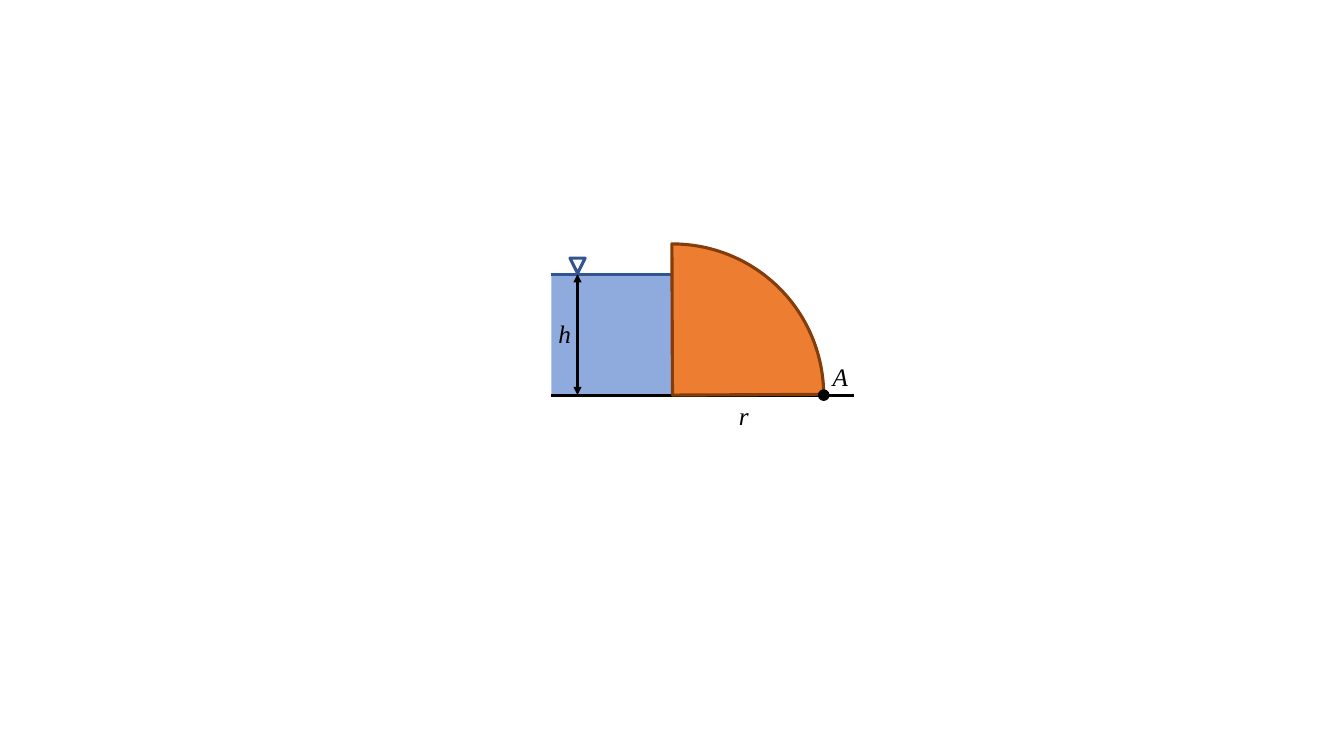
from lxml.etree import SubElement
from pptx import Presentation
from pptx.dml.color import RGBColor
from pptx.enum.shapes import MSO_CONNECTOR as CONNECTOR, MSO_SHAPE as SHAPE
from pptx.enum.text import MSO_AUTO_SIZE as AUTO_SIZE
from pptx.oxml.ns import qn
from pptx.util import Inches, Pt

COLORS = {"water": "8FAADC", "surface": "2F5597", "level": "325491",
          "gate": "ED7D31", "gate edge": "843C0B", "ink": "000000"}
CELL = 0.3                 # grid cell in inches
LEFT, GROUND = 5.47, 3.92  # grid origin: left end of the ground line
DEPTH, RADIUS, LENGTH = 4, 5, 10  # in cells; rows count upwards
LEVEL_COLUMN = 0.86


def place(column, row):
    """Return the slide position of a grid point."""
    return Inches(LEFT + column * CELL), Inches(GROUND - row * CELL)


def set_line(line, color, width):
    """Give an outline or connector its colour and width in points."""
    line.color.rgb = RGBColor.from_string(COLORS[color])
    line.width = Pt(width)


presentation = Presentation()
presentation.slide_width, presentation.slide_height = Inches(13.33), Inches(7.5)
slide = presentation.slides.add_slide(presentation.slide_layouts[6])

# Straight lines: start, end, colour, width, arrowheads
lines = [
    ((0, 0), (LENGTH, 0), "ink", 2.25, False),
    ((0, DEPTH), (DEPTH, DEPTH), "surface", 2.25, False),
    ((LEVEL_COLUMN, DEPTH), (LEVEL_COLUMN, 0), "ink", 1.5, True),
]
# Shapes: kind, left column, top row, size in cells, fill, outline, width
shapes = [
    (SHAPE.RECTANGLE, 0, DEPTH, DEPTH, "water", None, 0),
    (SHAPE.PIE, DEPTH - RADIUS, RADIUS, 2 * RADIUS, "gate", "gate edge", 2.25),
    (SHAPE.ISOSCELES_TRIANGLE, LEVEL_COLUMN - 0.25, DEPTH + 0.53, 0.5,
     None, "level", 2.25),
    (SHAPE.OVAL, DEPTH + RADIUS - 0.17, 0.17, 0.34, "ink", "ink", 1),
]
# Labels: text, left column, top row, width in cells
labels = [("h", -0.1, 2.7, 1.13), ("r", 5.87, 0, 1), ("A", 8.97, 1.27, 1.2)]

# The water lies behind the lines, everything else in front of them
for kind, column, row, size, fill, outline, width in shapes:
    side = Inches(size * CELL)
    shape = slide.shapes.add_shape(kind, *place(column, row), side, side)
    shape.shadow.inherit = False
    if fill:
        shape.fill.solid()
        shape.fill.fore_color.rgb = RGBColor.from_string(COLORS[fill])
    else:
        shape.fill.background()
    if outline:
        set_line(shape.line, outline, width)
    else:
        shape.line.fill.background()
    if kind == SHAPE.PIE:
        shape.adjustments[0], shape.adjustments[1] = 161.87, 215.83
    if kind == SHAPE.ISOSCELES_TRIANGLE:
        shape.rotation = 180
    if kind != SHAPE.RECTANGLE:
        continue
    for start, end, color, line_width, arrows in lines:
        connector = slide.shapes.add_connector(
            CONNECTOR.STRAIGHT, *place(*start), *place(*end))
        set_line(connector.line, color, line_width)
        if arrows:
            for tag in ("a:headEnd", "a:tailEnd"):
                SubElement(connector.line._get_or_add_ln(), qn(tag), type="triangle")
        SubElement(connector._element.spPr, qn("a:effectLst"))

label_font = {"name": "Times New Roman", "size": Pt(18), "italic": True}
label_frame = {"word_wrap": False, "auto_size": AUTO_SIZE.SHAPE_TO_FIT_TEXT}
for text, column, row, width in labels:
    box = slide.shapes.add_textbox(
        *place(column, row), Inches(width * CELL), Inches(0.4))
    for name, value in label_frame.items():
        setattr(box.text_frame, name, value)
    run = box.text_frame.paragraphs[0].add_run()
    run.text = text
    for name, value in label_font.items():
        setattr(run.font, name, value)
    run.font.color.rgb = RGBColor.from_string(COLORS["ink"])

presentation.save("out.pptx")
